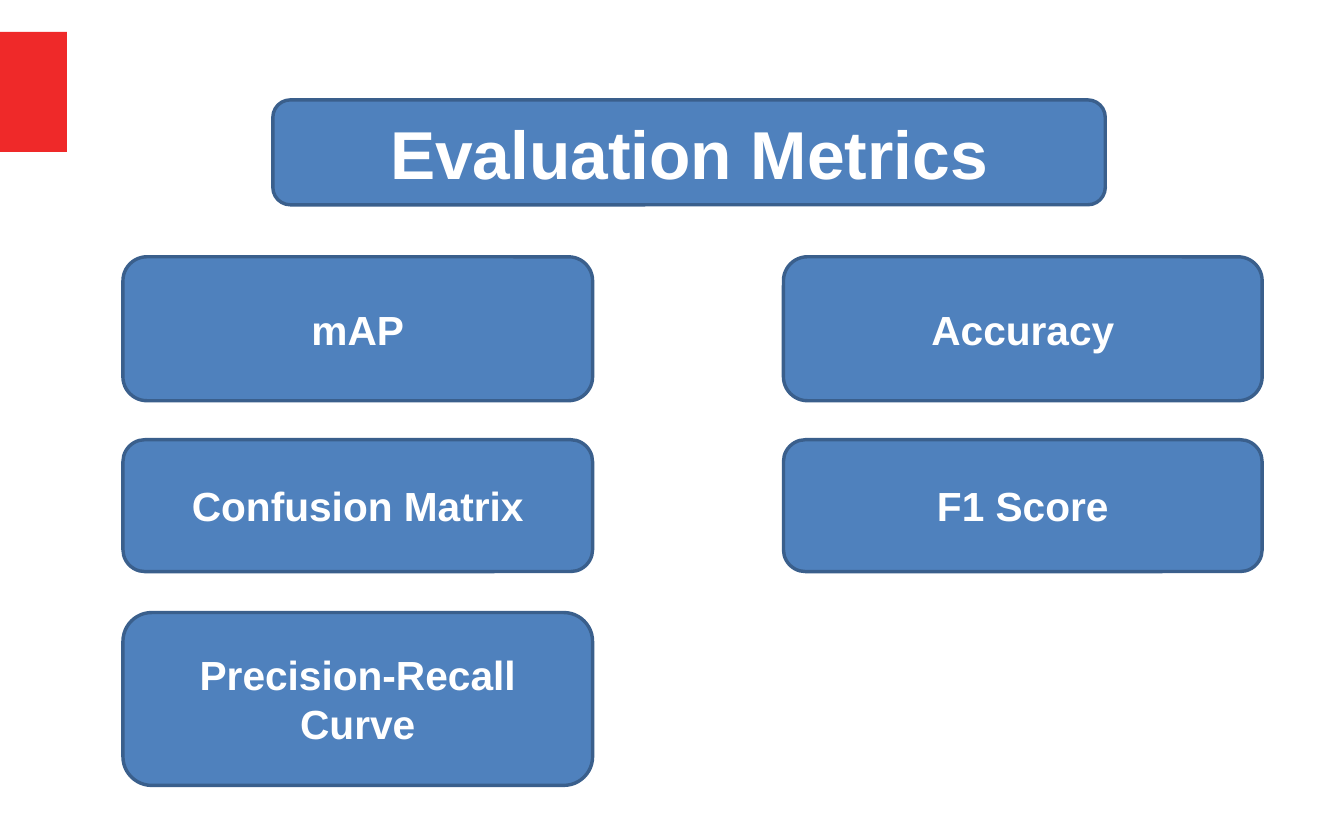
from pptx import Presentation
from pptx.dml.color import RGBColor
from pptx.enum.shapes import MSO_SHAPE as Shape
from pptx.enum.text import MSO_ANCHOR as Anchor, PP_ALIGN as Align
from pptx.util import Cm, Pt

PX = 7495  # EMU per px, 122 px to the inch
WHITE = RGBColor(0xFF, 0xFF, 0xFF)
RED = RGBColor(0xEF, 0x29, 0x29)
BLUE = RGBColor(0x4F, 0x81, 0xBD)
NAVY = RGBColor(0x3A, 0x5F, 0x8C)


class Board:
    """Holds the text style and the current slide."""

    font = {"name": "Arial", "bold": True}

    def __init__(self, slide):
        self.slide = slide

    def block(self, kind, box, fill):
        shape = self.slide.shapes.add_shape(kind, *(n * PX for n in box))
        shape.shadow.inherit = False
        shape.fill.solid()
        shape.fill.fore_color.rgb = fill
        shape.line.fill.background()
        return shape

    def card(self, text, box, size=24):
        shape = self.block(Shape.ROUNDED_RECTANGLE, box, BLUE)
        shape.line.color.rgb = NAVY
        shape.line.width = Pt(2)
        frame = shape.text_frame
        frame.word_wrap = True
        frame.vertical_anchor = Anchor.MIDDLE
        par = frame.paragraphs[0]
        par.alignment = Align.CENTER
        run = par.add_run()
        run.text = text
        for key, value in {**self.font, "size": Pt(size)}.items():
            setattr(run.font, key, value)
        run.font.color.rgb = WHITE


def main():
    deck = Presentation()
    deck.slide_width, deck.slide_height = Cm(28), Cm(17.5)
    board = Board(deck.slides.add_slide(deck.slide_layouts[6]))

    # Red tab and title
    board.block(Shape.RECTANGLE, (0, 32, 67, 120), RED)
    board.card("Evaluation Metrics", (273, 100, 833, 105), 40)

    # Metric cards: columns of (left, width, names), rows of (top, height)
    rows = [(257, 144), (440, 132), (613, 173)]
    cols = [
        (123, 470, ["mAP", "Confusion Matrix", "Precision-Recall Curve"]),
        (784, 479, ["Accuracy", "F1 Score"]),
    ]
    for left, width, names in cols:
        for name, (top, height) in zip(names, rows):
            board.card(name, (left, top, width, height))

    deck.save("out.pptx")


if __name__ == "__main__":
    main()
